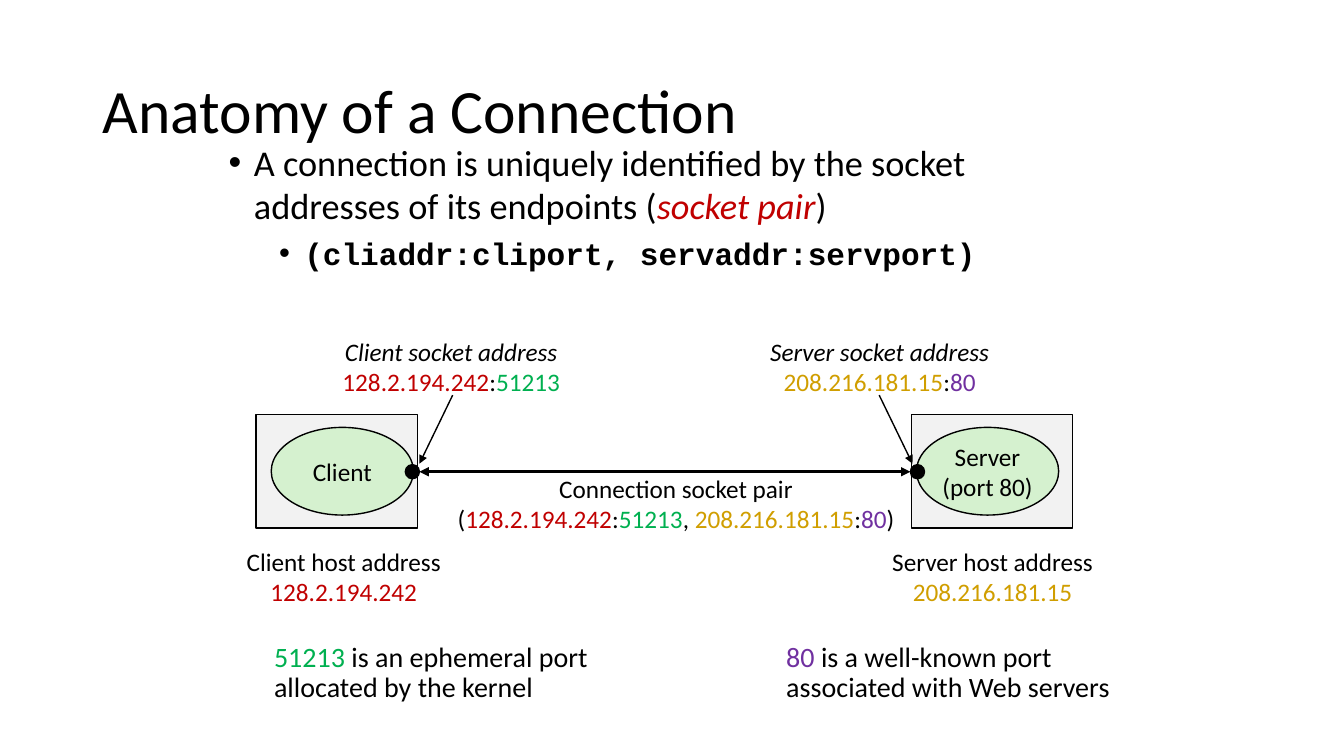
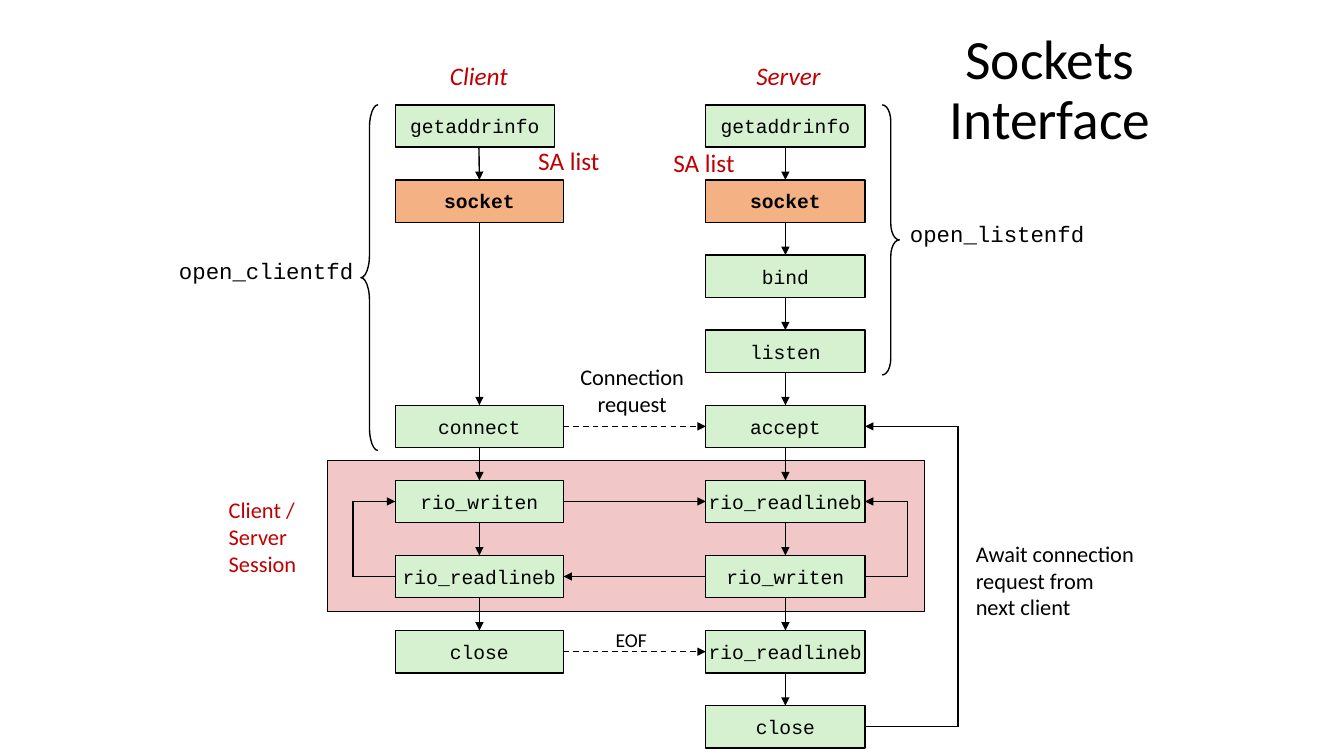
from pptx import Presentation
from pptx.dml.color import RGBColor
from pptx.enum.dml import MSO_LINE
from pptx.enum.shapes import MSO_CONNECTOR, MSO_SHAPE
from pptx.enum.text import MSO_ANCHOR, PP_ALIGN
from pptx.oxml.ns import qn
from pptx.util import Inches, Pt
from lxml.etree import SubElement

SANS, MONO = "Calibri", "Courier New"
BLACK, RED, GREEN, GOLD, PURPLE = "000000", "C00000", "00B050", "D09E00", "7030A0"
HOST_FILL, STEP_FILL, SOCKET_FILL, SESSION_FILL = "F2F2F2", "D5F1CF", "F4B183", "F1C7C7"
LEFT, CENTER = PP_ALIGN.LEFT, PP_ALIGN.CENTER
TOP, MIDDLE = MSO_ANCHOR.TOP, MSO_ANCHOR.MIDDLE
UPPER, WEST, LOWER, EAST = range(4)  # connection sites of a rectangle

# Address parts, each in its own colour
CLIENT_IP = ("128.2.194.242", {"color": RED})
CLIENT_PORT = ("51213", {"color": GREEN})
SERVER_IP = ("208.216.181.15", {"color": GOLD})
SERVER_PORT = ("80", {"color": PURPLE})


def rgb(value):
    return RGBColor.from_string(value)


def write(shape, paragraphs, size=18, font=SANS, color=BLACK, bold=False, italic=False,
          align=CENTER, anchor=MIDDLE, spacing=None, wrap=None):
    """Fill a shape with paragraphs; each is a string or a list of runs."""
    frame = shape.text_frame
    frame.word_wrap = align == LEFT if wrap is None else wrap
    frame.vertical_anchor = anchor
    for index, runs in enumerate(paragraphs):
        paragraph = frame.add_paragraph() if index else frame.paragraphs[0]
        paragraph.alignment = align
        if spacing:
            paragraph.line_spacing = spacing
        for part in [runs] if isinstance(runs, str) else runs:
            text, own = (part, {}) if isinstance(part, str) else part
            run = paragraph.add_run()
            run.text = text
            run.font.name = own.get("font", font)
            run.font.size = Pt(own.get("size", size))
            run.font.bold = own.get("bold", bold)
            run.font.italic = own.get("italic", italic)
            run.font.color.rgb = rgb(own.get("color", color))


def add_label(slide, left, top, width, height, paragraphs, **text_format):
    label = slide.shapes.add_textbox(Inches(left), Inches(top), Inches(width), Inches(height))
    write(label, paragraphs, **text_format)
    return label


def add_title(slide, left, top, width, height, title, size, align):
    add_label(slide, left, top, width, height, [title], size=size, align=align,
              spacing=0.9, wrap=True)


def add_bullets(slide, left, top, width, height, paragraphs):
    body = add_label(slide, left, top, width, height, paragraphs, size=25.9,
                     align=LEFT, anchor=TOP)
    for level, paragraph in enumerate(body.text_frame.paragraphs):
        properties = paragraph._p.get_or_add_pPr()
        properties.set("marL", str(Inches(0.25 + 0.5 * level)))
        properties.set("indent", str(Inches(-0.25)))
        SubElement(properties, qn("a:buFont"), typeface="Arial")
        SubElement(properties, qn("a:buChar"), char="•")
        if level:
            paragraph.level = level
            paragraph.space_before = Pt(5)


def add_outline(slide, kind, left, top, width, height, fill=None):
    shape = slide.shapes.add_shape(kind, Inches(left), Inches(top), Inches(width), Inches(height))
    shape.shadow.inherit = False
    if fill:
        shape.fill.solid()
        shape.fill.fore_color.rgb = rgb(fill)
    else:
        shape.fill.background()
    shape.line.color.rgb = rgb(BLACK)
    shape.line.width = Pt(1)
    return shape


def add_arrow(slide, start, end, width=1, dashed=False, head=False, tail=True):
    """Join two ends, each an (x, y) point or a (shape, site) pair."""
    joined = [not isinstance(place[0], (int, float)) for place in (start, end)]
    points = [(0, 0) if glued else place for glued, place in zip(joined, (start, end))]
    line = slide.shapes.add_connector(MSO_CONNECTOR.STRAIGHT,
                                      *(Inches(value) for point in points for value in point))
    if joined[0]:
        line.begin_connect(*start)
    if joined[1]:
        line.end_connect(*end)
    line.line.color.rgb = rgb(BLACK)
    line.line.width = Pt(width)
    if dashed:
        line.line.dash_style = MSO_LINE.DASH
    stroke = line.line._get_or_add_ln()
    for tag, wanted in (("a:headEnd", head), ("a:tailEnd", tail)):
        if wanted:
            SubElement(stroke, qn(tag), type="triangle")
    SubElement(line._element.spPr, qn("a:effectLst"))


def add_loop(slide, source, target, site, x, source_y, target_y):
    """Route from one side of a step out to x and back to a step above."""
    corners = (x, source_y), (x, target_y)
    add_arrow(slide, (source, site), corners[0], tail=False)
    add_arrow(slide, *corners, tail=False)
    add_arrow(slide, corners[1], (target, site))


def add_host(slide, left, process_left, lines):
    add_outline(slide, MSO_SHAPE.RECTANGLE, left, 4.11, 1.6, 1.13, HOST_FILL)
    process = add_outline(slide, MSO_SHAPE.OVAL, process_left, 4.24, 1.41, 0.87, STEP_FILL)
    write(process, lines)


def build_connection(slide):
    add_title(slide, 0.92, 0.4, 11.5, 1.45, "Anatomy of a Connection", 44, LEFT)
    add_bullets(slide, 2.17, 1.34, 8.64, 1.5, [
        ["A connection is uniquely identified by the socket addresses of its endpoints (",
         ("socket pair", {"color": RED, "italic": True}), ")"],
        [("(cliaddr:cliport, servaddr:servport)", {"font": MONO, "size": 22.2, "bold": True})],
    ])

    # Hosts, the connection and its endpoints
    add_host(slide, 2.54, 2.69, ["Client"])
    add_host(slide, 9.04, 9.09, ["Server", "(port 80)"])
    add_arrow(slide, (4.16, 4.68), (9.03, 4.68), width=2.25, head=True)
    for endpoint_left in (4.02, 9.03):
        add_outline(slide, MSO_SHAPE.OVAL, endpoint_left, 4.61, 0.14, 0.14, BLACK)
    add_arrow(slide, (4.49, 3.92), (4.16, 4.6))
    add_arrow(slide, (8.72, 3.92), (9.05, 4.6))

    # Addresses
    italic = {"italic": True}
    for left, top, width, lines in (
        (4.4, 4.64, 4.61, ["Connection socket pair",
                           ["(", CLIENT_IP, ":", CLIENT_PORT, ", ",
                            SERVER_IP, ":", SERVER_PORT, ")"]]),
        (3.28, 3.28, 2.39, [[("Client socket address", italic)],
                            [CLIENT_IP, ":", CLIENT_PORT]]),
        (7.31, 3.28, 2.83, [[("Server socket address", italic)],
                            [SERVER_IP, ":", SERVER_PORT]]),
        (2.32, 5.36, 2.18, ["Client host address", [CLIENT_IP]]),
        (8.72, 5.36, 2.25, ["Server host address", [SERVER_IP]]),
    ):
        add_label(slide, left, top, width, 0.71, lines)

    # Port notes
    for left, lines in (
        (2.62, [[CLIENT_PORT, " is an ephemeral port"], "allocated by the kernel"]),
        (7.7, [[SERVER_PORT, " is a well-known port"], "associated with Web servers"]),
    ):
        add_label(slide, left, 6.33, 3.44, 0.71, lines, size=20, align=LEFT,
                  anchor=TOP, spacing=0.9)


STEP_HEIGHT = 0.42


def row_top(row):
    return 1.04 + 0.745 * row


def row_middle(row):
    return row_top(row) + STEP_HEIGHT / 2


def add_step(slide, left, row, width, call):
    is_socket = call == "socket"
    step = add_outline(slide, MSO_SHAPE.RECTANGLE, left, row_top(row), width, STEP_HEIGHT,
                       SOCKET_FILL if is_socket else STEP_FILL)
    write(step, [call], size=14, font=MONO, bold=is_socket)
    return step


def add_brace(slide, kind, left, height, curve):
    brace = add_outline(slide, kind, left, row_top(0), 0.17, height)
    brace.adjustments[0] = curve


def build_interface(slide):
    add_outline(slide, MSO_SHAPE.RECTANGLE, 3.25, 4.57, 5.92, 1.5, SESSION_FILL)
    add_title(slide, 9.25, 0.25, 2.33, 1.31, "Sockets Interface", 39.6, CENTER)

    # Calls by row
    client_calls = {0: "getaddrinfo", 1: "socket", 4: "connect", 5: "rio_writen",
                    6: "rio_readlineb", 7: "close"}
    server_calls = ["getaddrinfo", "socket", "bind", "listen", "accept", "rio_readlineb",
                    "rio_writen", "rio_readlineb", "close"]
    client = {row: add_step(slide, 3.92, row, 1.67 if row else 1.58, call)
              for row, call in client_calls.items()}
    server = [add_step(slide, 7, row, 1.58, call) for row, call in enumerate(server_calls)]

    # Order of the calls on each side
    add_arrow(slide, (4.75, row_top(0) + STEP_HEIGHT), (client[1], UPPER))
    client_steps = list(client.values())[1:]
    for steps in (client_steps, server):
        for step, following in zip(steps, steps[1:]):
            add_arrow(slide, (step, LOWER), (following, UPPER))

    # Messages between the sides
    for row in (4, 5, 7):
        add_arrow(slide, (client[row], EAST), (server[row], WEST), dashed=row != 5)
    add_arrow(slide, (server[6], WEST), (client[6], EAST))

    # Repeats
    for steps, source, target, site, x in ((client, 6, 5, WEST, 3.5), (server, 6, 5, EAST, 9),
                                           (server, 8, 4, EAST, 9.5)):
        add_loop(slide, steps[source], steps[target], site, x,
                 row_middle(source), row_middle(target))

    # Helper functions that span several calls
    add_brace(slide, MSO_SHAPE.LEFT_BRACE, 3.58, 3.43, 1.33)
    add_brace(slide, MSO_SHAPE.RIGHT_BRACE, 8.75, 2.68, 0.96)
    add_label(slide, 1.67, 2.5, 1.94, 0.37, ["open_clientfd"], size=16, font=MONO)
    add_label(slide, 8.92, 2.13, 1.94, 0.37, ["open_listenfd"], size=16, font=MONO)

    # Headings and notes
    add_label(slide, 4.36, 0.55, 0.78, 0.4, ["Client"], color=RED, italic=True)
    add_label(slide, 7.4, 0.55, 0.84, 0.4, ["Server"], color=RED, italic=True)
    for left, top in ((5.24, 1.39), (6.58, 1.41)):
        add_label(slide, left, top, 0.84, 0.4, ["SA list"], color=RED, align=LEFT, anchor=TOP)
    add_label(slide, 5.64, 3.55, 1.26, 0.64, ["Connection", "request"], size=16)
    add_label(slide, 6, 6.18, 0.52, 0.34, ["EOF"], size=14)
    add_label(slide, 2.17, 4.87, 0.92, 0.9, ["Client / Server", "Session"], size=16,
              color=RED, align=LEFT)
    add_label(slide, 9.58, 5.3, 1.83, 0.91, ["Await connection", "request from", "next client"],
              size=16, align=LEFT)


def main():
    deck = Presentation()
    deck.slide_width, deck.slide_height = Inches(13.33), Inches(7.5)
    for build in (build_connection, build_interface):
        build(deck.slides.add_slide(deck.slide_layouts[6]))
    deck.save("out.pptx")


if __name__ == "__main__":
    main()
